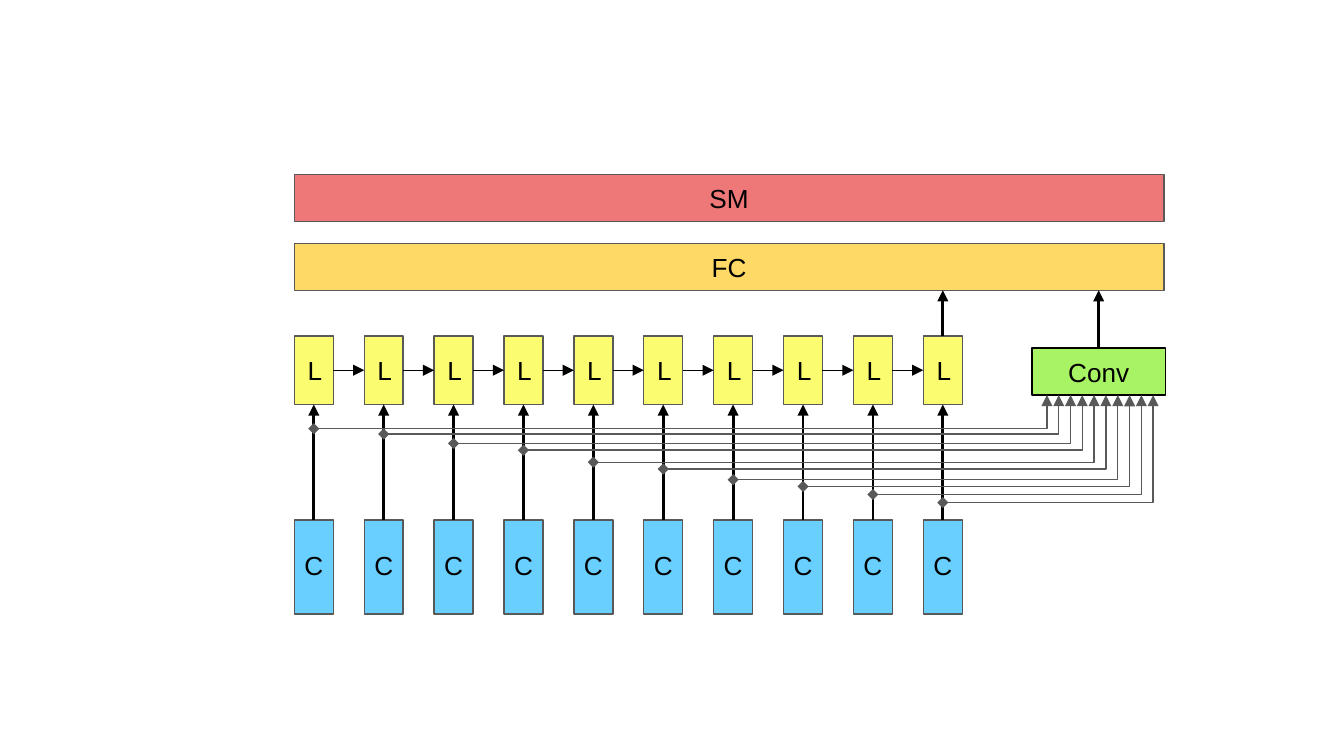
from dataclasses import dataclass

from lxml.etree import SubElement
from pptx import Presentation
from pptx.dml.color import RGBColor
from pptx.enum.shapes import MSO_CONNECTOR, MSO_SHAPE
from pptx.enum.text import MSO_ANCHOR, PP_ALIGN
from pptx.oxml.ns import qn
from pptx.util import Inches, Pt


@dataclass(frozen=True)
class Theme:
    font: str = "Arial"
    size: float = 14
    thin: float = 0.75
    thick: float = 1.5
    ink: str = "000000"
    gray: str = "595959"
    lstm: str = "FCFC71"
    cell: str = "69CFFF"
    dense: str = "FFD966"
    softmax: str = "EE7878"
    conv: str = "A7F363"


THEME = Theme()
TOP, LEFT_SIDE, BOTTOM, RIGHT_SIDE = range(4)

SLIDE_WIDTH = 10
FIRST_LEFT, PITCH, STEP_WIDTH = 2.19, 0.52, 0.29
LSTM_TOP, LSTM_HEIGHT = 2.5, 0.51
CELL_TOP, CELL_HEIGHT = 3.87, 0.7
LABEL_TOP, LABEL_HEIGHT = 3.99, 0.45
BAR_WIDTH, BAR_HEIGHT = 6.47, 0.35
DENSE_TOP, SOFTMAX_TOP = 1.81, 1.3
CONV_LEFT, CONV_TOP, CONV_WIDTH = 7.68, 2.59, 0.99
FIRST_INPUT, LAST_INPUT = 7.79, 8.58
TAP_HEIGHTS = [3.19, 3.23, 3.3, 3.35, 3.44, 3.49, 3.57, 3.62, 3.68, 3.74]


def write(frame, text, align):
    frame.word_wrap = True
    frame.margin_left = frame.margin_right = Inches(0.1)
    frame.margin_top = frame.margin_bottom = Inches(0.1)
    paragraph = frame.paragraphs[0]
    paragraph.text = text
    paragraph.alignment = align
    paragraph.font.name = THEME.font
    paragraph.font.size = Pt(THEME.size)
    paragraph.font.color.rgb = RGBColor.from_string(THEME.ink)


def add_block(slide, left, top, width, height, fill, text="",
              align=PP_ALIGN.CENTER, outline=THEME.gray):
    block = slide.shapes.add_shape(
        MSO_SHAPE.RECTANGLE, Inches(left), Inches(top), Inches(width), Inches(height))
    block.shadow.inherit = False
    block.fill.solid()
    block.fill.fore_color.rgb = RGBColor.from_string(fill)
    block.line.color.rgb = RGBColor.from_string(outline)
    block.line.width = Pt(THEME.thin)
    if text:
        block.text_frame.vertical_anchor = MSO_ANCHOR.MIDDLE
        write(block.text_frame, text, align)
    return block


def add_label(slide, left, top, width, height, text):
    label = slide.shapes.add_textbox(
        Inches(left), Inches(top), Inches(width), Inches(height))
    write(label.text_frame, text, PP_ALIGN.CENTER)


def add_arrow(slide, start, end, width, color=THEME.ink, kind=MSO_CONNECTOR.STRAIGHT,
              start_mark=None):
    """Draw a connector from start to end with a triangle at its end."""
    arrow = slide.shapes.add_connector(
        kind, Inches(start[0]), Inches(start[1]), Inches(end[0]), Inches(end[1]))
    arrow.line.color.rgb = RGBColor.from_string(color)
    arrow.line.width = Pt(width)
    outline = arrow.line._get_or_add_ln()
    if start_mark:
        SubElement(outline, qn("a:headEnd"), type=start_mark)
    SubElement(outline, qn("a:tailEnd"), type="triangle")
    SubElement(arrow._element.spPr, qn("a:effectLst"))
    return arrow


def add_tap(slide, start, end):
    """Branch off an upward arrow, run right, then turn up into the Conv block."""
    tap = add_arrow(slide, start, end, THEME.thin, THEME.gray,
                    MSO_CONNECTOR.ELBOW, "diamond")
    adjustments = tap._element.spPr.find(qn("a:prstGeom")).get_or_add_avLst()
    SubElement(adjustments, qn("a:gd"), name="adj1", fmla="val 100000")


def add_step(slide, left, previous_lstm):
    """Add one time step: an input cell, its LSTM block and their arrows."""
    center = left + STEP_WIDTH / 2
    lstm = add_block(slide, left, LSTM_TOP, STEP_WIDTH, LSTM_HEIGHT,
                     THEME.lstm, "L", PP_ALIGN.LEFT)
    cell = add_block(slide, left, CELL_TOP, STEP_WIDTH, CELL_HEIGHT, THEME.cell)
    add_label(slide, center - PITCH / 2, LABEL_TOP, PITCH, LABEL_HEIGHT, "C")
    upward = add_arrow(slide, (center, CELL_TOP), (center, LSTM_TOP + LSTM_HEIGHT),
                       THEME.thick)
    upward.begin_connect(cell, TOP)
    upward.end_connect(lstm, BOTTOM)
    if previous_lstm is not None:
        middle = LSTM_TOP + LSTM_HEIGHT / 2
        onward = add_arrow(slide, (left - PITCH + STEP_WIDTH, middle), (left, middle),
                           THEME.thin)
        onward.begin_connect(previous_lstm, RIGHT_SIDE)
        onward.end_connect(lstm, LEFT_SIDE)
    return lstm


def main():
    deck = Presentation()
    deck.slide_width = Inches(SLIDE_WIDTH)
    deck.slide_height = Inches(SLIDE_WIDTH * 9 / 16)
    slide = deck.slides.add_slide(deck.slide_layouts[6])

    add_block(slide, FIRST_LEFT, SOFTMAX_TOP, BAR_WIDTH, BAR_HEIGHT, THEME.softmax, "SM")
    add_block(slide, FIRST_LEFT, DENSE_TOP, BAR_WIDTH, BAR_HEIGHT, THEME.dense, "FC")
    conv = add_block(slide, CONV_LEFT, CONV_TOP, CONV_WIDTH, BAR_HEIGHT,
                     THEME.conv, "Conv", outline=THEME.ink)

    lstm = None
    for step in range(len(TAP_HEIGHTS)):
        lstm = add_step(slide, FIRST_LEFT + step * PITCH, lstm)

    input_gap = (LAST_INPUT - FIRST_INPUT) / (len(TAP_HEIGHTS) - 1)
    for step, height in enumerate(TAP_HEIGHTS):
        center = FIRST_LEFT + step * PITCH + STEP_WIDTH / 2
        add_tap(slide, (center, height),
                (FIRST_INPUT + step * input_gap, CONV_TOP + BAR_HEIGHT))

    dense_bottom = DENSE_TOP + BAR_HEIGHT
    last_center = FIRST_LEFT + (len(TAP_HEIGHTS) - 1) * PITCH + STEP_WIDTH / 2
    conv_center = CONV_LEFT + CONV_WIDTH / 2
    for source, x, top in [(lstm, last_center, LSTM_TOP), (conv, conv_center, CONV_TOP)]:
        output = add_arrow(slide, (x, top), (x, dense_bottom), THEME.thick)
        output.begin_connect(source, TOP)

    deck.save("out.pptx")


if __name__ == "__main__":
    main()
